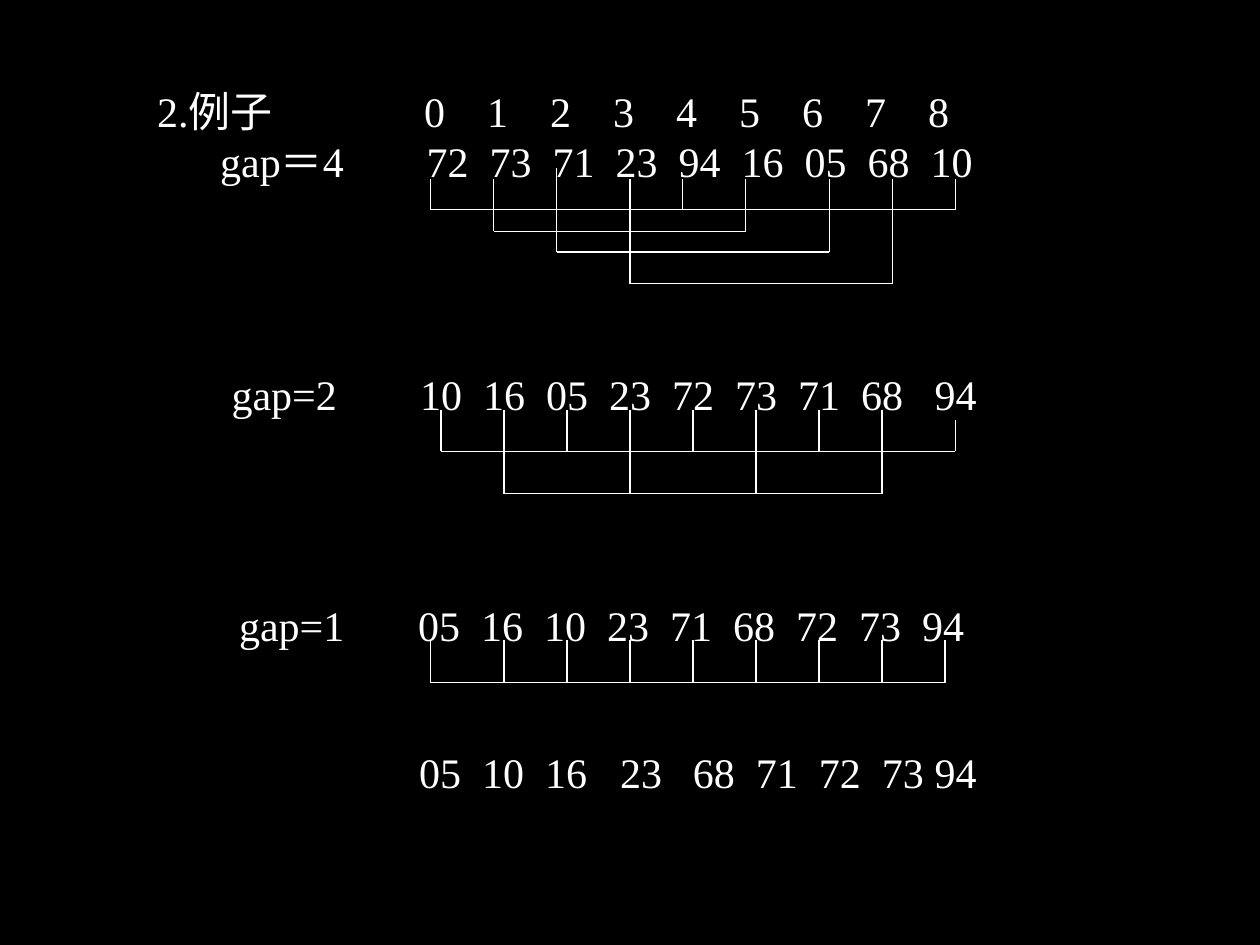
"""Build a slide that traces a Shell sort through gaps 4, 2 and 1."""
from lxml.etree import SubElement
from pptx import Presentation
from pptx.dml.color import RGBColor
from pptx.enum.shapes import MSO_CONNECTOR
from pptx.oxml.ns import qn
from pptx.util import Cm, Pt

COLORS = {"back": "000000", "ink": "FFFFFF"}
STEP = 1.27
INSET = 0.25


def slots(*places):
    return [8.89 + STEP * place for place in places]


def row(start, values):
    """Pair each value with its place on an even grid."""
    return [(start + STEP * i, value) for i, value in enumerate(values.split())]


class Deck:
    """Hold the style and the current slide."""

    font = "Times New Roman"
    size = Pt(24)
    width = Pt(0.75)

    def __init__(self):
        self.show = Presentation()
        self.show.slide_width, self.show.slide_height = Cm(25.4), Cm(19.05)
        self.slide = self.show.slides.add_slide(self.show.slide_layouts[6])
        self.shapes = self.slide.shapes
        fill = self.slide.background.fill
        fill.solid()
        fill.fore_color.rgb = self.color("back")

    def color(self, name):
        return RGBColor.from_string(COLORS[name])

    def group(self):
        self.shapes = self.slide.shapes.add_group_shape().shapes

    def text(self, left, top, width, height, *lines):
        """Set each line's words at tab stops given as slide positions."""
        box = self.shapes.add_textbox(Cm(left), Cm(top), Cm(width), Cm(height))
        frame = box.text_frame
        frame.word_wrap = True
        start = left + INSET
        for i, line in enumerate(lines):
            para = frame.add_paragraph() if i else frame.paragraphs[0]
            para.text = "".join(("\t" if x > start else "") + word for x, word in line)
            stops = SubElement(para._p.get_or_add_pPr(), qn("a:tabLst"))
            for x, _ in line:
                if x > start:
                    SubElement(stops, qn("a:tab"), pos=str(Cm(x - start)), algn="l")
            for run in para.runs:
                run.font.name, run.font.size = self.font, self.size
                run.font.color.rgb = self.color("ink")

    def line(self, x1, y1, x2, y2):
        link = self.shapes.add_connector(
            MSO_CONNECTOR.STRAIGHT, Cm(x1), Cm(y1), Cm(x2), Cm(y2))
        link.line.color.rgb = self.color("ink")
        link.line.width = self.width
        SubElement(link._element.spPr, qn("a:effectLst"))

    def comb(self, top, base, places, odd=None):
        """Join stems along a base; odd maps a stem index to its own top."""
        for i, x in enumerate(places):
            self.line(x, (odd or {}).get(i, top), x, base)
        self.line(places[0], base, places[-1], base)


def main():
    deck = Deck()

    deck.group()
    deck.text(2.92, 1.6, 17.5, 2.29,
              [(3.17, "2.例子")] + row(8.55, "0 1 2 3 4 5 6 7 8"),
              [(4.44, "gap＝4")] + row(8.6, "72 73 71 23 94 16 05 68 10"))
    deck.comb(3.6, 4.23, [8.68, 13.76, 19.26])
    deck.comb(3.6, 4.66, [9.95, 15.03])
    deck.comb(3.6, 5.08, [11.22, 16.72], {0: 3.39})
    deck.comb(3.6, 5.72, [12.7, 17.99])

    deck.group()
    deck.text(4.42, 7.31, 16, 1.27,
              [(4.67, "gap=2")] + row(8.47, "10 16 05 23 72 73 71 68") + [(18.84, "94")])
    deck.comb(8.26, 9.1, slots(0, 2, 4, 6) + [19.26], {4: 8.47})
    deck.comb(8.26, 9.95, slots(1, 3, 5, 7))

    deck.group()
    deck.text(4.57, 11.96, 15.8, 1.27,
              [(4.82, "gap=1")] + row(8.43, "05 16 10 23 71 68 72 73 94"))
    deck.comb(12.91, 13.76, [8.68] + slots(*range(1, 9)))

    deck.shapes = deck.slide.shapes
    deck.text(8.2, 14.93, 12.2, 1.27,
              row(8.45, "05 10 16") + [(12.5, "23")]
              + row(13.97, "68 71 72 73") + [(18.84, "94")])

    deck.show.save("out.pptx")


if __name__ == "__main__":
    main()
